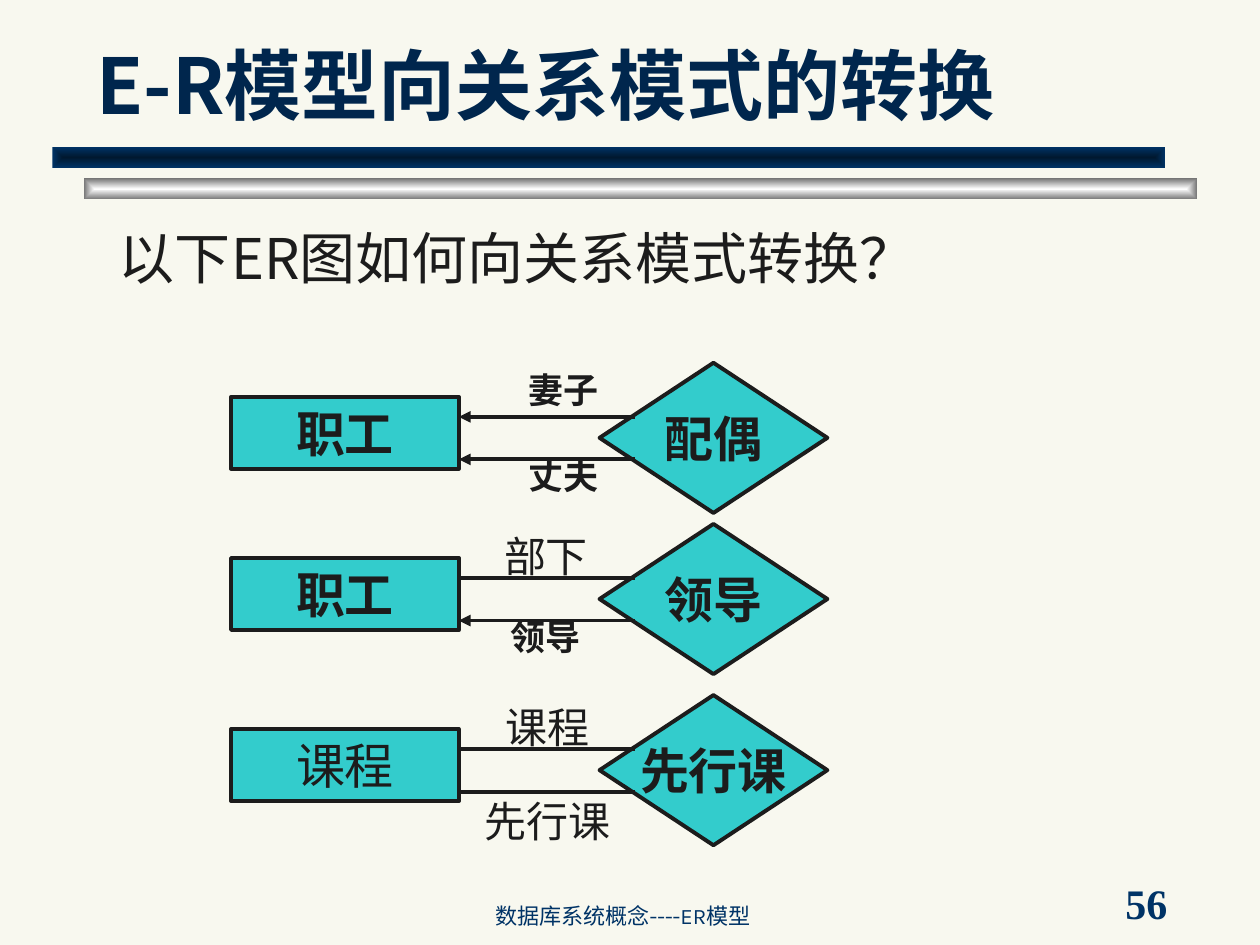
from lxml import etree
from pptx import Presentation
from pptx.dml.color import RGBColor
from pptx.enum.shapes import MSO_CONNECTOR as CONN, MSO_SHAPE as SHAPE
from pptx.enum.text import MSO_ANCHOR as ANCHOR, PP_ALIGN as ALIGN
from pptx.oxml import parse_xml
from pptx.oxml.ns import nsdecls, qn
from pptx.util import Inches, Pt

CELL = Inches(1) / 12  # grid of 120 columns by 90 rows
INK, TEAL, NAVY = "1C1C1C", "33CCCC", "003366"
SERIF, SANS = "Times New Roman", "Noto Sans CJK SC"


def rgb(code):
    return RGBColor.from_string(code)


def put(shapes, kind, box, text="", size=28, color=INK, bold=False, font=SERIF,
        ea=SANS, align=ALIGN.CENTER, anchor=ANCHOR.TOP, wrap=True):
    """Add a text box (kind None) or a preset shape on the grid."""
    box = [round(v * CELL) for v in box]
    if kind is None:
        sp = shapes.add_textbox(*box)
    else:
        sp = shapes.add_shape(kind, *box)
        sp.shadow.inherit = False
        sp.fill.solid()
        sp.fill.fore_color.rgb = rgb(TEAL)
        sp.line.color.rgb = rgb(INK)
        sp.line.width = Pt(2.25)
    if text:
        tf = sp.text_frame
        tf.text = text
        tf.word_wrap = wrap
        tf.vertical_anchor = anchor
        p = tf.paragraphs[0]
        p.alignment = align
        r = p.runs[0]
        r.font.size, r.font.bold, r.font.name = Pt(size), bold, font
        r.font.color.rgb = rgb(color)
        etree.SubElement(r._r.rPr, qn("a:ea")).set("typeface", ea)
    return sp


prs = Presentation()
prs.slide_width, prs.slide_height = round(120 * CELL), round(90 * CELL)
s = prs.slides.add_slide(prs.slide_layouts[6])
s.background.fill.solid()
s.background.fill.fore_color.rgb = rgb("F8F8EF")

# Two bevelled bars under the title
bars = s.shapes.add_group_shape()
for left, top, center, edge in [(8, 17, "FFFFFF", "767676"), (5, 14, "00182F", NAVY)]:
    bar = put(bars.shapes, SHAPE.RECTANGLE, (left, top, 106, 2))
    bar.line.fill.background()
    solid = bar._element.spPr.find(qn("a:solidFill"))
    bar._element.spPr.replace(solid, parse_xml(
        f'<a:gradFill {nsdecls("a")} rotWithShape="1"><a:gsLst>'
        f'<a:gs pos="0"><a:srgbClr val="{center}"/></a:gs>'
        f'<a:gs pos="100000"><a:srgbClr val="{edge}"/></a:gs></a:gsLst>'
        '<a:path path="rect"><a:fillToRect l="50000" t="50000" r="50000" b="50000"/>'
        '</a:path></a:gradFill>'))

# Title, page number and footer
put(s.shapes, None, (8, 5, 102, 8), "E-R模型向关系模式的转换", 44, "00264D", True,
    SANS, align=ALIGN.LEFT, anchor=ANCHOR.BOTTOM)
put(s.shapes, None, (106, 84, 13, 4), "56", 24, NAVY, True,
    align=ALIGN.LEFT, anchor=ANCHOR.MIDDLE)
footer = put(s.shapes, None, (46, 85, 49, 4), "数据库系统概念----ER模型", 12.6, NAVY,
             font="Karla", align=ALIGN.LEFT, anchor=ANCHOR.BOTTOM)
footer.text_frame.paragraphs[0].line_spacing = 0.8

# ER diagrams: top row, entity (text, bold), relationship,
# label column, label width, then per line: text, size, bold, arrow, label offset
diagrams = [
    (34.55, "职工", True, "配偶", 43.7, 20,
     [("妻子", 20, True, True, 0), ("丈夫", 20, True, True, 8.15)]),
    (49.9, "职工", True, "领导", 42, 20,
     [("部下", 24, False, False, 0), ("领导", 20, True, True, 8.15)]),
    (66.2, "课程", False, "先行课", 40.4, 23.4,
     [("课程", 24, False, False, 0), ("先行课", 24, False, False, 9)]),
]
for top, entity, bold, relation, label_x, label_w, roles in diagrams:
    g = s.shapes.add_group_shape().shapes
    put(g, SHAPE.RECTANGLE, (22, top + 3.25, 21.7, 6.85), entity, bold=bold)
    put(g, SHAPE.DIAMOND, (57.1, top, 21.7, 14.3), relation, bold=True,
        anchor=ANCHOR.MIDDLE, wrap=False)
    for (role, size, strong, arrow, dy), line_dy in zip(roles, (5.15, 9.2)):
        y = round((top + line_dy) * CELL)
        line = g.add_connector(CONN.STRAIGHT, round(43.7 * CELL), y, round(60.5 * CELL), y)
        line.line.color.rgb = rgb(INK)
        line.line.width = Pt(2.25)
        if arrow:
            etree.SubElement(line.line._get_or_add_ln(), qn("a:headEnd")).set("type", "triangle")
        etree.SubElement(line._element.spPr, qn("a:effectLst"))
        put(g, None, (label_x, top + dy, label_w, size / 4), role, size, bold=strong)

# Question
question = put(s.shapes, None, (9, 21.4, 80.6, 7), "以下ER图如何向关系模式转换？", 32,
               font="Noto Sans CJK JP", ea="Noto Sans CJK JP")
question.text_frame.paragraphs[0].line_spacing = 0.9

prs.save("out.pptx")
